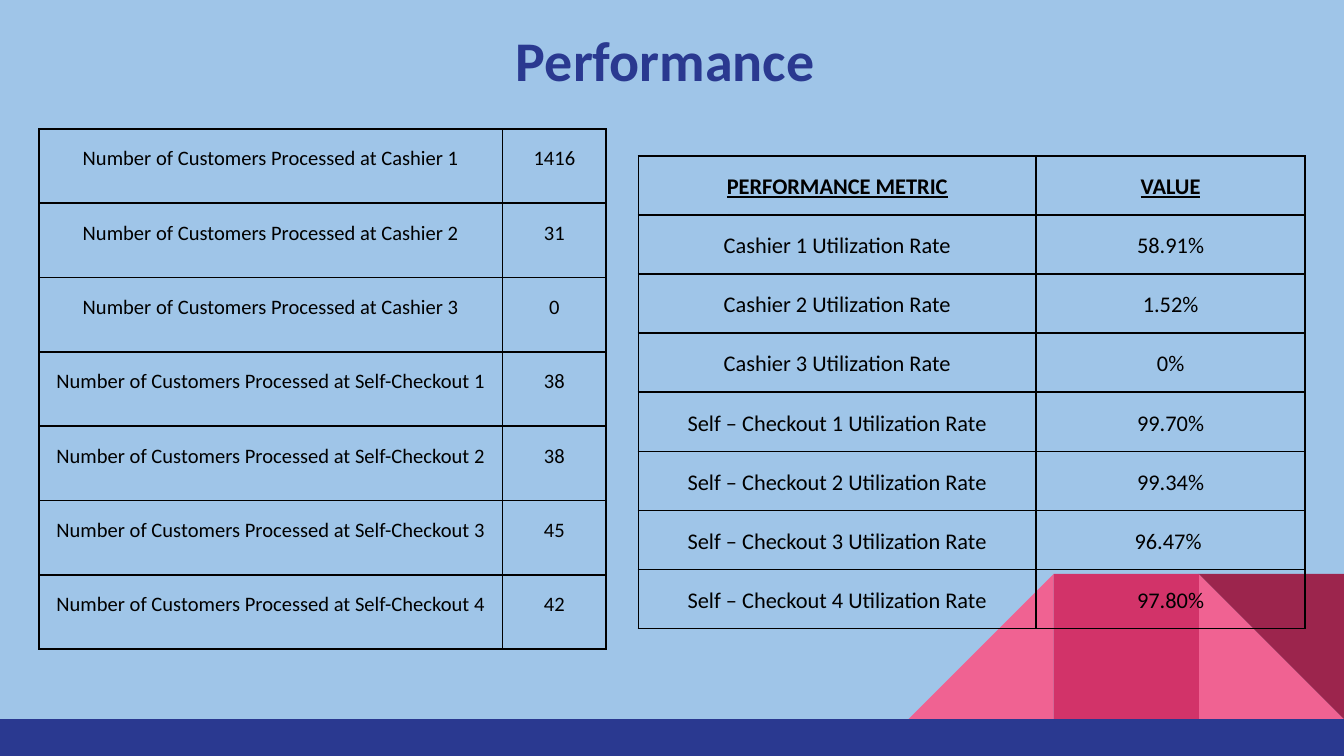
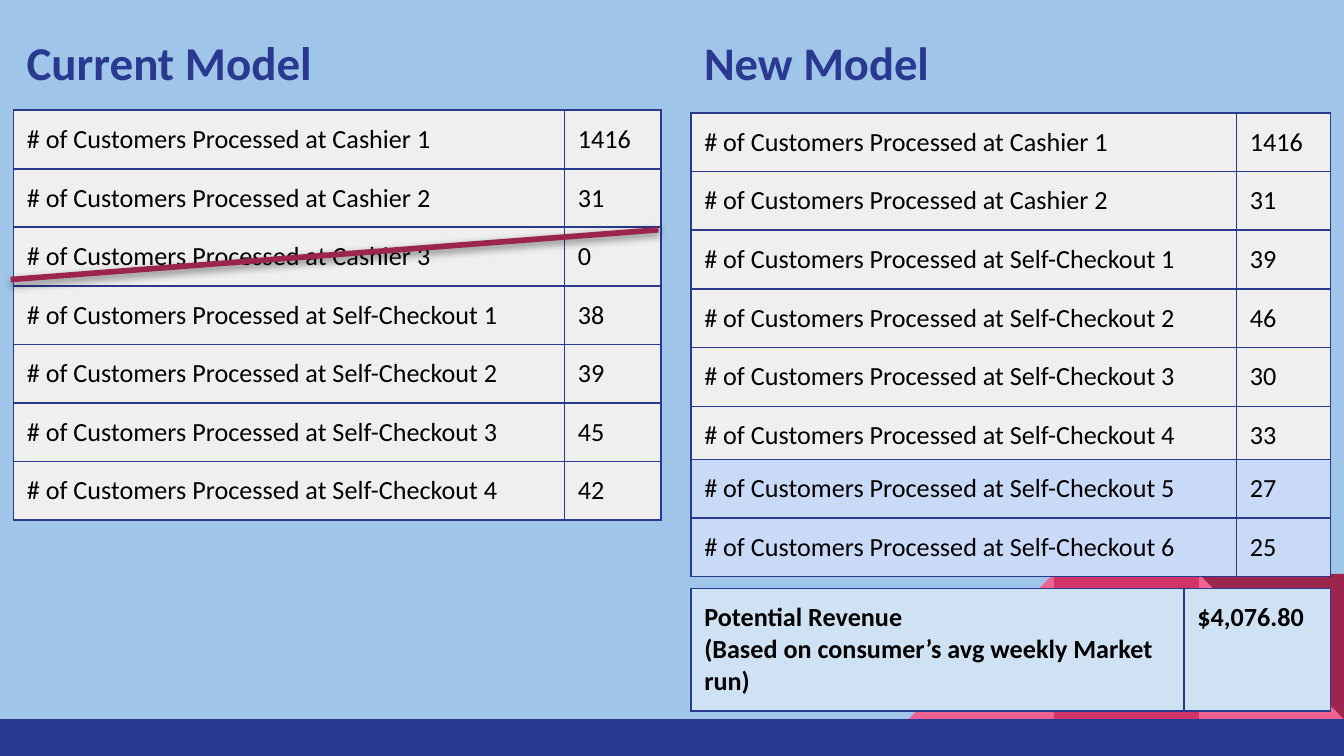
"""Build two slides comparing checkout performance and staffing models."""
from dataclasses import dataclass

from lxml import etree
from pptx import Presentation
from pptx.dml.color import RGBColor
from pptx.enum.shapes import MSO_CONNECTOR, MSO_SHAPE
from pptx.enum.text import MSO_ANCHOR, PP_ALIGN
from pptx.oxml.ns import qn
from pptx.util import Inches, Pt

LEFT, CENTER = PP_ALIGN.LEFT, PP_ALIGN.CENTER
RECT, TRIANGLE = MSO_SHAPE.RECTANGLE, MSO_SHAPE.RIGHT_TRIANGLE
TOP, STRAIGHT = MSO_ANCHOR.TOP, MSO_CONNECTOR.STRAIGHT


@dataclass(frozen=True)
class Theme:
    """Colours, type and sizes used on every slide."""
    font: str = "Calibri"
    sky: str = "9FC5E8"
    navy: str = "2A3990"
    pink: str = "F06292"
    rose: str = "D23369"
    wine: str = "9C254D"
    ink: str = "000000"
    grey: str = "EFEFEF"
    added: str = "C9DAF8"
    revenue: str = "CFE2F3"
    title: float = 30
    current_heading: float = 25.2
    new_heading: float = 25
    model: float = 14
    metric: float = 12
    count: float = 11
    inset: float = 0.1


THEME = Theme()
WIDTH = 10
HEIGHT = WIDTH * 9 / 16
FLOOR, FACET = 5.35, 1.08

COUNTS = [("Cashier 1", "1416"), ("Cashier 2", "31"), ("Cashier 3", "0"),
          ("Self-Checkout 1", "38"), ("Self-Checkout 2", "38"),
          ("Self-Checkout 3", "45"), ("Self-Checkout 4", "42")]
RATES = [("Cashier 1", "58.91%"), ("Cashier 2", "1.52%"), ("Cashier 3", "0%"),
         ("Self – Checkout 1", "99.70%"), ("Self – Checkout 2", "99.34%"),
         ("Self – Checkout 3", "96.47% "), ("Self – Checkout 4", "97.80%")]
METRIC_HEADER = ("PERFORMANCE METRIC", "VALUE")
CURRENT = [("Cashier 1", "1416"), ("Cashier 2", "31"), ("Cashier 3", "0"),
           ("Self-Checkout 1", "38"), ("Self-Checkout 2", "39"),
           ("Self-Checkout 3", "45"), ("Self-Checkout 4", "42")]
NEW = [("Cashier 1", "1416"), ("Cashier 2", "31"),
       ("Self-Checkout 1", "39"), ("Self-Checkout 2", "46"),
       ("Self-Checkout 3", "30"), ("Self-Checkout 4", "33")]
ADDED = [("Self-Checkout 5", "27"), ("Self-Checkout 6", "25")]
REVENUE = [("Potential Revenue\n(Based on consumer’s avg weekly Market run)",
            "$4,076.80")]


def rgb(colour):
    return RGBColor.from_string(colour)


def labelled(pattern, rows):
    return [(pattern.format(station), value) for station, value in rows]


def write(frame, text, size, colour=THEME.ink, align=LEFT, bold=False,
          underline=False, spacing=1.0):
    for index, line in enumerate(text.split("\n")):
        paragraph = frame.add_paragraph() if index else frame.paragraphs[0]
        paragraph.alignment, paragraph.line_spacing = align, spacing
        run = paragraph.add_run()
        run.text = line
        font = run.font
        font.name, font.size = THEME.font, Pt(size)
        font.bold, font.underline = bold, underline
        font.color.rgb = rgb(colour)


def add_title(slide, text, left, top, width, size, align=LEFT):
    box = slide.shapes.add_textbox(Inches(left), Inches(top), Inches(width), Inches(0.66))
    frame = box.text_frame
    frame.word_wrap, frame.vertical_anchor = True, TOP
    frame.margin_left = frame.margin_right = Inches(THEME.inset)
    frame.margin_top = frame.margin_bottom = Inches(THEME.inset)
    write(frame, text, size, THEME.navy, align, bold=True)


def add_borders(cell, colour):
    properties = cell._tc.get_or_add_tcPr()
    for side in ("lnL", "lnR", "lnT", "lnB"):
        border = etree.SubElement(properties, qn(f"a:{side}"), w=str(Pt(1)))
        fill = etree.SubElement(border, qn("a:solidFill"))
        etree.SubElement(fill, qn("a:srgbClr"), val=colour)


def add_grid(slide, rows, left, top, columns, height, size, border,
             fill=None, side_inset=THEME.inset, header=False, **style):
    table = slide.shapes.add_table(
        len(rows), len(columns), Inches(left), Inches(top),
        Inches(sum(columns)), Inches(height)).table
    table.first_row = table.horz_banding = False
    for column, width in zip(table.columns, columns):
        column.width = Inches(width)
    for r, values in enumerate(rows):
        emphasis = {"bold": True, "underline": True} if header and r == 0 else {}
        for c, value in enumerate(values):
            cell = table.cell(r, c)
            cell.margin_left = cell.margin_right = Inches(side_inset)
            cell.margin_top = cell.margin_bottom = Inches(THEME.inset)
            add_borders(cell, border)
            if fill:
                cell.fill.solid()
                cell.fill.fore_color.rgb = rgb(fill)
            else:
                cell.fill.background()
            write(cell.text_frame, value, size, **{**style, **emphasis})


def add_block(slide, kind, left, top, width, height, colour, rotation=0):
    block = slide.shapes.add_shape(kind, Inches(left), Inches(top),
                                   Inches(width), Inches(height))
    block.shadow.inherit = False
    block.fill.solid()
    block.fill.fore_color.rgb = rgb(colour)
    block.line.fill.background()
    block.rotation = rotation


def add_strike(slide, start, end):
    strike = slide.shapes.add_connector(STRAIGHT, *map(Inches, start + end))
    strike.line.color.rgb = rgb(THEME.wine)
    strike.line.width = Pt(3)
    effects = etree.SubElement(strike._element.spPr, qn("a:effectLst"))
    shadow = etree.SubElement(effects, qn("a:outerShdw"), blurRad=str(Pt(4.5)),
                              dist=str(Pt(1.5)), dir="5400000",
                              algn="bl", rotWithShape="0")
    tint = etree.SubElement(shadow, qn("a:srgbClr"), val=THEME.ink)
    etree.SubElement(tint, qn("a:alpha"), val="51000")


def new_slide(deck):
    slide = deck.slides.add_slide(deck.slide_layouts[6])
    slide.background.fill.solid()
    slide.background.fill.fore_color.rgb = rgb(THEME.sky)
    facets = [(1, TRIANGLE, THEME.pink, 0), (3, TRIANGLE, THEME.pink, 270),
              (2, RECT, THEME.rose, 0), (1, TRIANGLE, THEME.wine, 180)]
    for place, kind, colour, rotation in facets:
        add_block(slide, kind, WIDTH - place * FACET, FLOOR - FACET,
                  FACET, FACET, colour, rotation)
    add_block(slide, RECT, 0, FLOOR, WIDTH, HEIGHT - FLOOR, THEME.navy)
    return slide


def performance_slide(deck):
    slide = new_slide(deck)
    add_title(slide, "Performance", 0.29, 0.09, 9.32, THEME.title, CENTER)
    style = {"border": THEME.ink, "side_inset": 0.07, "align": CENTER, "spacing": 1.15}
    rates = [METRIC_HEADER] + labelled("{} Utilization Rate", RATES)
    add_grid(slide, rates, 4.75, 1.16, (2.96, 2), 3.52, THEME.metric,
             header=True, **style)
    add_grid(slide, labelled("Number of Customers Processed at {}", COUNTS),
             0.29, 0.96, (3.45, 0.77), 3.87, THEME.count, **style)


def models_slide(deck):
    slide = new_slide(deck)
    current_left, new_left, heading_top = 0.1, 5.14, 0.15
    new_columns = (4.06, 0.7)
    style = {"size": THEME.model, "border": THEME.navy}
    pattern = "# of Customers Processed at {}"
    add_title(slide, "Current Model", current_left, heading_top, 3.34,
              THEME.current_heading)
    add_grid(slide, labelled(pattern, CURRENT), current_left, 0.82,
             (4.1, 0.72), 3.05, fill=THEME.grey, **style)
    add_grid(slide, labelled(pattern, NEW), new_left, 0.84, new_columns,
             2.62, fill=THEME.grey, **style)
    add_grid(slide, REVENUE, new_left, 4.38, (3.67, 1.09), 0.91,
             fill=THEME.revenue, bold=True, **style)
    add_title(slide, "New Model", new_left, heading_top, 3.15, THEME.new_heading)
    add_strike(slide, (0.08, 2.08), (4.9, 1.71))
    add_grid(slide, labelled(pattern, ADDED), new_left, 3.42, new_columns,
             0.87, fill=THEME.added, **style)


def main():
    deck = Presentation()
    deck.slide_width, deck.slide_height = Inches(WIDTH), Inches(HEIGHT)
    performance_slide(deck)
    models_slide(deck)
    deck.save("out.pptx")


if __name__ == "__main__":
    main()
